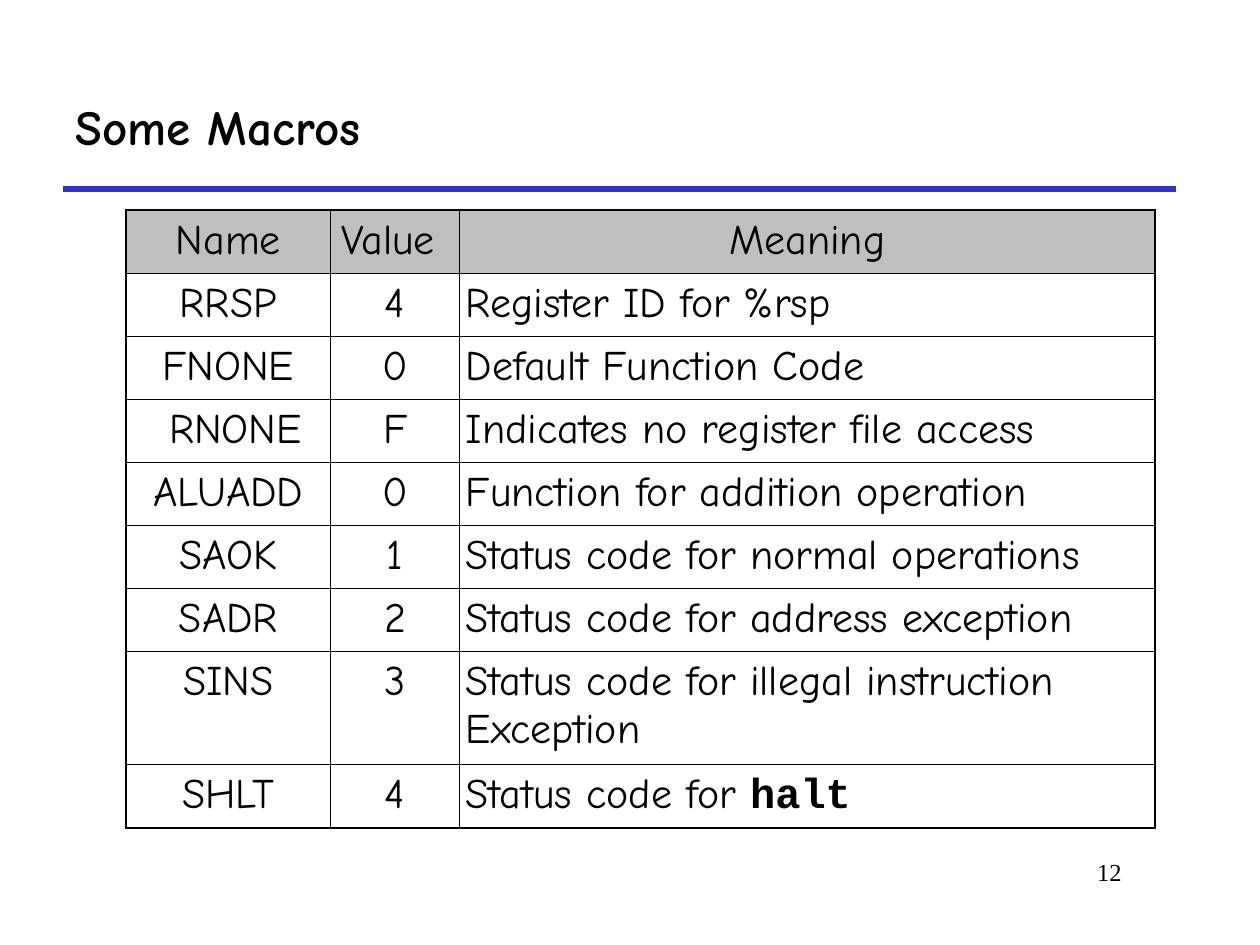
from dataclasses import dataclass

from lxml import etree
from pptx import Presentation
from pptx.dml.color import RGBColor
from pptx.enum.shapes import MSO_CONNECTOR
from pptx.enum.text import MSO_ANCHOR, PP_ALIGN
from pptx.oxml.ns import qn
from pptx.slide import Slide
from pptx.table import _Cell
from pptx.text.text import _Run
from pptx.util import Pt

STRAIGHT = MSO_CONNECTOR.STRAIGHT
LEFT, CENTER, RIGHT = PP_ALIGN.LEFT, PP_ALIGN.CENTER, PP_ALIGN.RIGHT
TOP, MIDDLE = MSO_ANCHOR.TOP, MSO_ANCHOR.MIDDLE

COLORS = {"text": "000000", "rule": "3333CC", "header": "BFBFBF", "border": "000000"}
BODY_FONT, CODE_FONT, NUMBER_FONT = "Comic Neue", "Courier New", "Times New Roman"
OUTER_BORDER, INNER_BORDER = 1.08, 0.45
COLUMN_WIDTHS = (117, 73.6, 397.4)
ROW_HEIGHT, TALL_ROW_HEIGHT = 36, 64.6
TALL_ROW = 7


@dataclass(frozen=True)
class Macro:
    name: str
    value: str
    meaning: str
    code: str = ""


@dataclass(frozen=True)
class Label:
    text: str
    left: float
    top: float
    width: float
    height: float
    size: float
    font: str
    bold: bool
    align: PP_ALIGN
    anchor: MSO_ANCHOR


HEADER = Macro("Name", "Value ", "Meaning")
MACROS = (
    Macro("RRSP", "4", "Register ID for %rsp"),
    Macro("FNONE", "0", "Default Function Code"),
    Macro(" RNONE", "F", "Indicates no register file access"),
    Macro("ALUADD", "0", "Function for addition operation"),
    Macro("SAOK", "1", "Status code for normal operations"),
    Macro("SADR", "2", "Status code for address exception"),
    Macro("SINS", "3", "Status code for illegal instruction Exception"),
    Macro("SHLT", "4", "Status code for ", "halt"),
)
LABELS = (
    Label("12", 546, 486, 102, 36, 14, NUMBER_FONT, False, RIGHT, TOP),
    Label("Some Macros", 36, 36, 636, 72, 28, BODY_FONT, True, LEFT, MIDDLE),
)


def color(name: str) -> RGBColor:
    return RGBColor.from_string(COLORS[name])


def format_run(run: _Run, size: float, font: str, bold: bool = False) -> None:
    run.font.size = Pt(size)
    run.font.name = font
    run.font.bold = bold
    run.font.color.rgb = color("text")


def draw_rule(slide: Slide) -> None:
    rule = slide.shapes.add_connector(STRAIGHT, Pt(36), Pt(108), Pt(672), Pt(108))
    rule.line.color.rgb = color("rule")
    rule.line.width = Pt(3)
    etree.SubElement(rule._element.spPr, qn("a:effectLst"))


def draw_label(slide: Slide, label: Label) -> None:
    box = slide.shapes.add_textbox(
        Pt(label.left), Pt(label.top), Pt(label.width), Pt(label.height)
    )
    text_frame = box.text_frame
    text_frame.word_wrap = True
    text_frame.vertical_anchor = label.anchor
    text_frame.text = label.text
    paragraph = text_frame.paragraphs[0]
    paragraph.alignment = label.align
    format_run(paragraph.runs[0], label.size, label.font, label.bold)


def set_borders(cell: _Cell, widths: dict[str, float]) -> None:
    """Put the edge lines first in the cell properties, ahead of the fill."""
    properties = cell._tc.get_or_add_tcPr()
    for index, (edge, width) in enumerate(widths.items()):
        line = etree.Element(qn(f"a:{edge}"), w=str(int(Pt(width))))
        fill = etree.SubElement(line, qn("a:solidFill"))
        etree.SubElement(fill, qn("a:srgbClr"), val=COLORS["border"])
        properties.insert(index, line)


def fill_cell(cell: _Cell, text: str, code: str, align: PP_ALIGN, header: bool) -> None:
    cell.margin_left = cell.margin_right = Pt(3.6)
    cell.margin_top = cell.margin_bottom = Pt(3.6)
    if header:
        cell.fill.solid()
        cell.fill.fore_color.rgb = color("header")
    else:
        cell.fill.background()
    cell.text_frame.text = text
    paragraph = cell.text_frame.paragraphs[0]
    paragraph.alignment = align
    paragraph.space_before = Pt(6)
    format_run(paragraph.runs[0], 24, BODY_FONT)
    if code:
        code_run = paragraph.add_run()
        code_run.text = code
        format_run(code_run, 24, CODE_FONT, bold=True)


def draw_macro_table(slide: Slide) -> None:
    records = (HEADER, *MACROS)
    row_heights = [ROW_HEIGHT] * len(records)
    row_heights[TALL_ROW] = TALL_ROW_HEIGHT
    last_row, last_column = len(records) - 1, len(COLUMN_WIDTHS) - 1
    table = slide.shapes.add_table(
        len(records), len(COLUMN_WIDTHS),
        Pt(72), Pt(120), Pt(sum(COLUMN_WIDTHS)), Pt(sum(row_heights)),
    ).table
    table.first_row = table.horz_banding = False
    for column, width in zip(table.columns, COLUMN_WIDTHS):
        column.width = Pt(width)

    for row, record in enumerate(records):
        table.rows[row].height = Pt(row_heights[row])
        for column, text in enumerate((record.name, record.value, record.meaning)):
            cell = table.cell(row, column)
            is_meaning = column == last_column
            align = LEFT if is_meaning and row > 0 else CENTER
            fill_cell(cell, text, record.code if is_meaning else "", align, row == 0)
            on_outside = {
                "lnL": column == 0,
                "lnR": is_meaning,
                "lnT": row == 0,
                "lnB": row == last_row,
            }
            set_borders(cell, {
                edge: OUTER_BORDER if outside else INNER_BORDER
                for edge, outside in on_outside.items()
            })


def main() -> None:
    presentation = Presentation()
    presentation.slide_width, presentation.slide_height = Pt(720), Pt(540)
    slide = presentation.slides.add_slide(presentation.slide_layouts[6])
    draw_rule(slide)
    for label in LABELS:
        draw_label(slide, label)
    draw_macro_table(slide)
    presentation.save("out.pptx")


if __name__ == "__main__":
    main()
